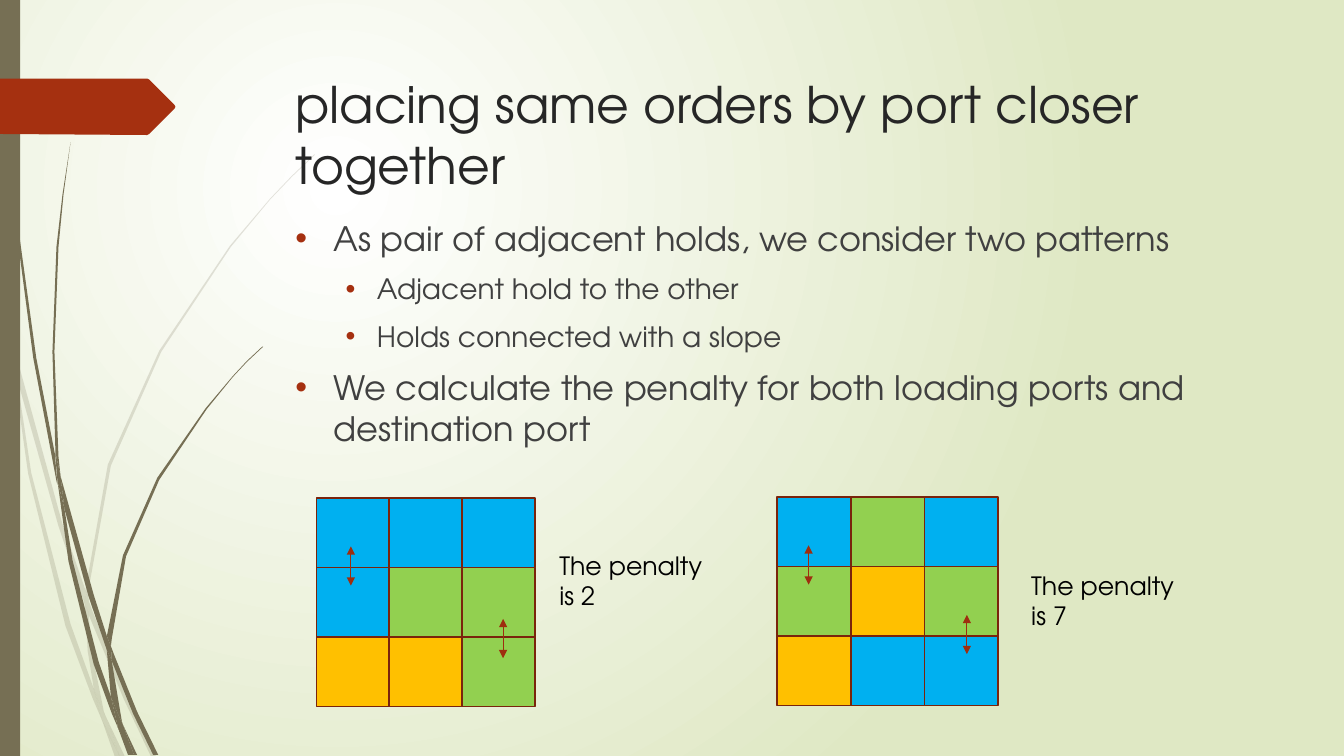
import lxml.etree
import pptx
import pptx.dml.color
import pptx.enum.shapes
import pptx.oxml
import pptx.oxml.ns
import pptx.util

SHAPES = pptx.enum.shapes.MSO_SHAPE
FONT = "TeX Gyre Adventor"
OLIVE, RED, TILE_EDGE, ARROW = "766F54", "A53010", "7A240C", "9E2E0F"
TILE_FILLS = {"B": "00B0F0", "G": "92D050", "Y": "FFC000"}
TILE_WIDTH, TILE_HEIGHT = 0.73, 0.69

# Each piece of a grass stem is an outline of (column, row) corners.
FADED_GRASS = [
    [(0.11, 3.5), (0.09, 3.22), (0, 2.82), (0, 2.99), (0.1, 3.44)],
    [(0.58, 5.22), (0.84, 5.99), (0.85, 5.86), (0.62, 5.2), (0.14, 3.45), (0.17, 3.76)],
    [(0.92, 6.07), (0.88, 5.96), (0.88, 6.1), (1.23, 6.94), (1.5, 7.51), (1.55, 7.51),
     (1.27, 6.92)],
    [(1.19, 7.51), (1.24, 7.51), (1.05, 7.11)],
    [(0.93, 6.83), (0.7, 6.19), (0.31, 4.69), (0.17, 3.76), (0.11, 3.5), (0.28, 4.7),
     (0.65, 6.21), (0.92, 6.93), (1.01, 7.14), (0.99, 7.07)],
    [(0.84, 5.99), (0.87, 6.46), (0.93, 6.83), (0.96, 6.92), (1.05, 7.11), (1.03, 7.06),
     (0.91, 6.46), (0.88, 6.1), (0.88, 6.08)],
    [(0.88, 5.84), (1.1, 4.62), (1.6, 3.49), (2.29, 2.45), (2.68, 1.98), (2.9, 1.75),
     (3.12, 1.54), (3.12, 1.53), (2.89, 1.75), (2.68, 1.97), (2.28, 2.44), (1.58, 3.48),
     (1.07, 4.61), (0.85, 5.84), (0.85, 5.86), (0.88, 5.96)],
    [(1.01, 7.14), (1.14, 7.51), (1.19, 7.51)],
    [(0.88, 6.08), (0.88, 6.1), (0.88, 5.96), (0.85, 5.86), (0.84, 5.99)],
    [(0.96, 6.92), (0.93, 6.83), (0.99, 7.07), (1.01, 7.14), (1.19, 7.51), (1.05, 7.11)],
]
SOLID_GRASS = [
    [(0.07, 1.1), (0.17, 2.33), (0.33, 3.55), (0.56, 4.77), (0.57, 4.81), (0.55, 4.57),
     (0.55, 4.53), (0.36, 3.55), (0.19, 2.32), (0.08, 1.09), (0.05, 0.48), (0.04, 0),
     (0.03, 0), (0.04, 0.48)],
    [(0.88, 5.92), (1.06, 6.45), (1.06, 6.33), (1.06, 6.31), (0.93, 5.9), (0.6, 4.72),
     (0.64, 5.05)],
    [(1.13, 6.49), (1.1, 6.41), (1.11, 6.56), (1.32, 7.08), (1.52, 7.49), (1.57, 7.49),
     (1.36, 7.06)],
    [(1.1, 6.91), (0.98, 6.57), (0.72, 5.56), (0.64, 5.05), (0.57, 4.77), (0.68, 5.57),
     (0.93, 6.59), (1.11, 7.08), (1.17, 7.22), (1.16, 7.17)],
    [(0.6, 4.72), (0.58, 4.53), (0.54, 3.49), (0.58, 2.45), (0.63, 1.93), (0.7, 1.41),
     (0.62, 1.93), (0.56, 2.45), (0.52, 3.49), (0.55, 4.49)],
    [(1.33, 7.49), (1.36, 7.49), (1.22, 7.19)],
    [(0.57, 4.77), (0.64, 5.05), (0.6, 4.72), (0.55, 4.49), (0.55, 4.53)],
    [(1.11, 6.33), (1.25, 5.52), (1.58, 4.76), (2.05, 4.06), (2.31, 3.74), (2.45, 3.59),
     (2.61, 3.44), (2.6, 3.44), (2.45, 3.58), (2.31, 3.73), (2.04, 4.05), (1.56, 4.74),
     (1.22, 5.51), (1.06, 6.31), (1.1, 6.41)],
    [(1.17, 7.22), (1.27, 7.49), (1.31, 7.49)],
    [(1.06, 6.45), (1.1, 6.91), (1.16, 7.06), (1.22, 7.19), (1.21, 7.16), (1.11, 6.56),
     (1.09, 6.51)],
    [(1.06, 6.45), (1.09, 6.51), (1.11, 6.56), (1.1, 6.41), (1.06, 6.31), (1.06, 6.33)],
    [(1.16, 7.06), (1.1, 6.91), (1.16, 7.17), (1.17, 7.22), (1.3, 7.49), (1.33, 7.49),
     (1.22, 7.19)],
]
TAG = [(0, 0.78), (1.46, 0.78), (1.48, 0.79), (1.73, 1.04), (1.74, 1.06),
       (1.73, 1.08), (1.48, 1.33), (1.46, 1.34), (0, 1.33)]
TITLE = "placing same orders by port closer together"
# Indent and text size of each bullet level.
BULLET_LEVELS = [(0.38, -0.38, 24), (0.81, -0.31, 20)]
BULLETS = [
    (0, "As pair of adjacent holds, we consider two patterns"),
    (1, "Adjacent hold to the other"),
    (1, "Holds connected with a slope"),
    (0, "We calculate the penalty for both loading ports and destination port"),
]
# Left, top, column pitch, tile rows, arrow tops, caption place, caption.
HOLD_PLANS = [
    (3.14, 4.94, 0.72, ("BBB", "BGG", "YYG"), [(3.48, 5.42), (4.99, 6.14)],
     (5.45, 5.41), "The penalty is 2"),
    (7.71, 4.93, 0.73, ("BGB", "GYG", "YBB"), [(8.02, 5.41), (9.59, 6.1)],
     (10.13, 5.61), "The penalty is 7"),
]


def rgb(value):
    return pptx.dml.color.RGBColor.from_string(value)


def add_xml(parent, tag, **attributes):
    return lxml.etree.SubElement(parent, pptx.oxml.ns.qn(tag), attributes)


class HoldSlide:
    """A slide on a grid of one-inch columns and rows."""

    def __init__(self, deck):
        self.slide = deck.slides.add_slide(deck.slide_layouts[6])
        self.shapes = self.slide.shapes

    def grid(self, *lengths):
        return [pptx.util.Inches(length) for length in lengths]

    def radial_background(self, centre, edge):
        fill = self.slide.background.fill
        fill.gradient()
        for stop, colour, position in zip(fill.gradient_stops, (centre, edge), (0, 1)):
            stop.color.rgb = rgb(colour)
            stop.position = position
        gradient = next(self.slide.element.iter(pptx.oxml.ns.qn("a:gradFill")))
        direction = gradient.find(pptx.oxml.ns.qn("a:lin"))
        circle = add_xml(gradient, "a:path", path="circle")
        gradient.replace(direction, circle)
        add_xml(circle, "a:fillToRect", l="50000", t="50000", r="100000", b="100000")

    def paint(self, shape, fill, edge=None):
        shape.shadow.inherit = False
        shape.fill.solid()
        shape.fill.fore_color.rgb = rgb(fill)
        if edge:
            shape.line.color.rgb = rgb(edge)
            shape.line.width = pptx.util.Pt(1.25)
        else:
            shape.line.fill.background()

    def rectangle(self, left, top, width, height, fill, edge=None):
        place = self.grid(left, top, width, height)
        self.paint(self.shapes.add_shape(SHAPES.RECTANGLE, *place), fill, edge)

    def outline(self, corners, fill, opacity=100):
        start, *others = [self.grid(*corner) for corner in corners]
        builder = self.shapes.build_freeform(*start)
        builder.add_line_segments(others, close=True)
        shape = builder.convert_to_shape()
        self.paint(shape, fill)
        if opacity < 100:
            colour = next(shape.element.spPr.iter(pptx.oxml.ns.qn("a:srgbClr")))
            add_xml(colour, "a:alpha", val=str(opacity * 1000))

    def text(self, left, top, width, height, lines, size, colour):
        """Add a text box and return its paragraphs."""
        frame = self.shapes.add_textbox(*self.grid(left, top, width, height)).text_frame
        frame.word_wrap = True
        frame.text = "\n".join(lines)
        for paragraph in frame.paragraphs:
            paragraph.font.name = FONT
            paragraph.font.size = pptx.util.Pt(size)
            paragraph.font.color.rgb = rgb(colour)
        return frame.paragraphs

    def bullets(self, left, top, width, height, items, colour):
        lines = [line for _, line in items]
        paragraphs = self.text(left, top, width, height, lines, 24, colour)
        for paragraph, (level, _) in zip(paragraphs, items):
            margin, indent, size = BULLET_LEVELS[level]
            paragraph.level = level
            paragraph.space_before = pptx.util.Pt(10)
            paragraph.font.size = pptx.util.Pt(size)
            properties = paragraph._p.get_or_add_pPr()
            properties.set("marL", str(pptx.util.Inches(margin)))
            properties.set("indent", str(pptx.util.Inches(indent)))
            default_run = properties.find(pptx.oxml.ns.qn("a:defRPr"))
            bullet_colour = add_xml(properties, "a:buClr")
            add_xml(bullet_colour, "a:srgbClr", val=RED)
            add_xml(properties, "a:buFont", typeface="Arial")
            add_xml(properties, "a:buChar", char="•")
            properties.append(default_run)

    def double_arrow(self, x, top, length):
        ends = self.grid(x, top, x, top + length)
        arrow = self.shapes.add_connector(pptx.enum.shapes.MSO_CONNECTOR.STRAIGHT, *ends)
        arrow.line.color.rgb = rgb(ARROW)
        arrow.line.width = pptx.util.Pt(0.75)
        line = arrow.line._get_or_add_ln()
        for end in ("a:headEnd", "a:tailEnd"):
            add_xml(line, end, type="triangle")
        add_xml(arrow._element.spPr, "a:effectLst")

    def hold_plan(self, left, top, pitch, rows, arrows, caption_place, caption):
        for row, tiles in enumerate(rows):
            for column, tile in enumerate(tiles):
                self.rectangle(left + column * pitch, top + row * TILE_HEIGHT,
                               TILE_WIDTH, TILE_HEIGHT, TILE_FILLS[tile], TILE_EDGE)
        for x, arrow_top in arrows:
            self.double_arrow(x, arrow_top, 0.39)
        self.text(*caption_place, 1.74, 0.71, [caption], 18, "000000")


def main():
    deck = pptx.Presentation()
    deck.slide_width, deck.slide_height = pptx.util.Inches(13.33), pptx.util.Inches(7.5)
    page = HoldSlide(deck)
    page.radial_background("FFFFFF", "DFE8C4")
    for grass, opacity in ((FADED_GRASS, 20), (SOLID_GRASS, 100)):
        for piece in grass:
            page.outline(piece, OLIVE, opacity)
    page.rectangle(0, 0, 0.2, 7.5, OLIVE)
    page.outline(TAG, RED)
    page.text(2.83, 0.68, 9.75, 1.4, [TITLE], 36, "262626")
    page.bullets(2.83, 2.11, 9.75, 4.13, BULLETS, "404040")
    for plan in HOLD_PLANS:
        page.hold_plan(*plan)
    deck.save("out.pptx")


if __name__ == "__main__":
    main()
